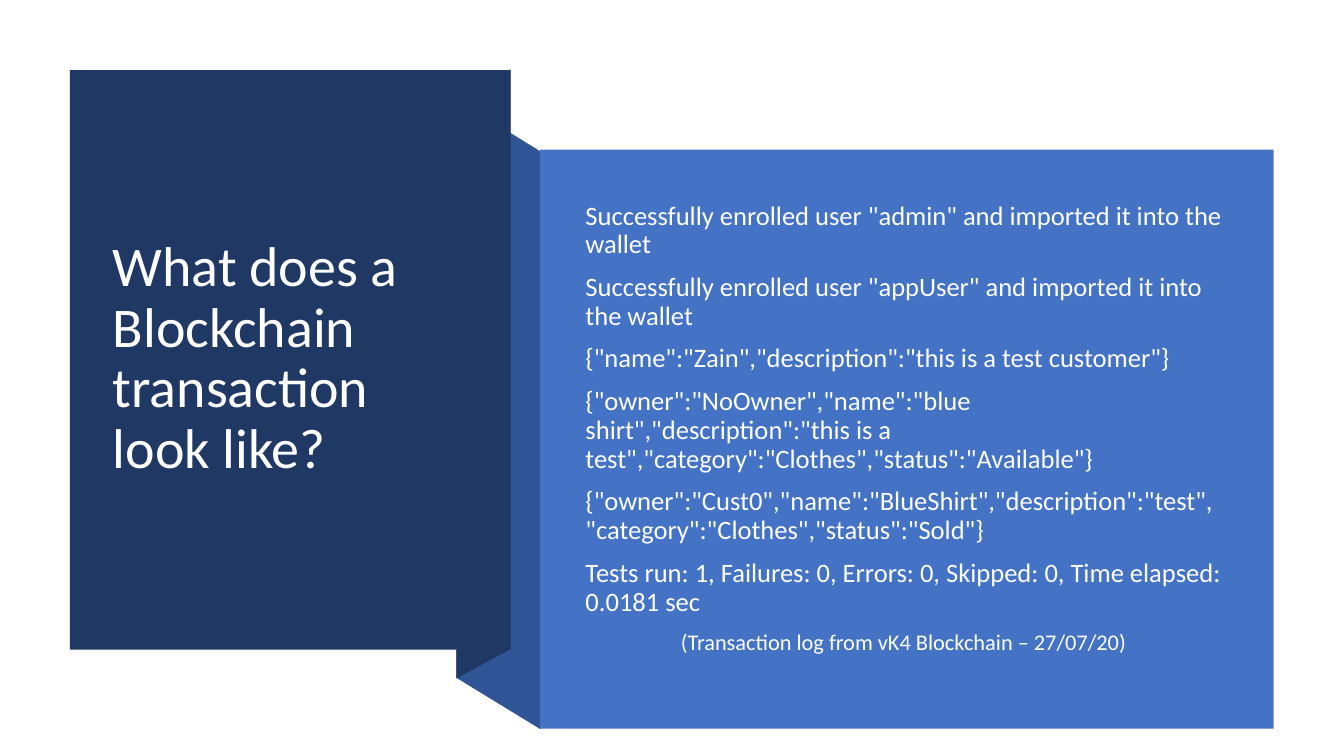
from lxml import etree
from pptx import Presentation
from pptx.dml.color import RGBColor
from pptx.enum.shapes import MSO_SHAPE
from pptx.enum.text import MSO_ANCHOR, MSO_AUTO_SIZE, PP_ALIGN
from pptx.oxml.ns import qn
from pptx.util import Cm, Pt

RECTANGLE = MSO_SHAPE.RECTANGLE
MIDDLE = MSO_ANCHOR.MIDDLE
NO_AUTOFIT = MSO_AUTO_SIZE.NONE
LEFT, CENTER = PP_ALIGN.LEFT, PP_ALIGN.CENTER

FONT = "Calibri"
COLORS = {
    "navy": "203864",
    "fold": "2F5597",
    "panel": "4472C4",
    "title": "FFFFFF",
    "body": "FEFFFF",
}

TITLE = "What does a Blockchain transaction look like?"
LOG_LINES = [
    'Successfully enrolled user "admin" and imported it into the wallet',
    'Successfully enrolled user "appUser" and imported it into the wallet',
    '{"name":"Zain","description":"this is a test customer"}',
    '{"owner":"NoOwner","name":"blue shirt","description":"this is a test",'
    '"category":"Clothes","status":"Available"}',
    '{"owner":"Cust0","name":"BlueShirt","description":"test",'
    '"category":"Clothes","status":"Sold"}',
    "Tests run: 1, Failures: 0, Errors: 0, Skipped: 0, Time elapsed: 0.0181 sec",
]
LOG_SOURCE = "(Transaction log from vK4 Blockchain – 27/07/20)"


def paint(shape, color):
    shape.shadow.inherit = False
    shape.fill.solid()
    shape.fill.fore_color.rgb = RGBColor.from_string(COLORS[color])
    shape.line.fill.background()


def add_panel(slide, left, top, width, height, color):
    panel = slide.shapes.add_shape(
        RECTANGLE, Cm(left), Cm(top), Cm(width), Cm(height))
    paint(panel, color)


def add_fold(slide, points, color):
    """Draw a ribbon fold as a closed polygon through points in centimetres."""
    start, *others = [(Cm(x), Cm(y)) for x, y in points]
    builder = slide.shapes.build_freeform(*start)
    builder.add_line_segments(others, close=True)
    paint(builder.convert_to_shape(), color)


def place_placeholder(slide, placeholder, left, top, width, height):
    """Position a placeholder, bring it to the front and return its text frame."""
    placeholder.left, placeholder.top = Cm(left), Cm(top)
    placeholder.width, placeholder.height = Cm(width), Cm(height)
    slide.shapes._spTree.append(placeholder._element)
    frame = placeholder.text_frame
    frame.word_wrap = True
    frame.auto_size = NO_AUTOFIT
    frame.vertical_anchor = MIDDLE
    return frame


def write_text(paragraph, text, size, color, align=LEFT, space_before=0):
    paragraph.alignment = align
    paragraph.line_spacing = 0.9
    paragraph.space_before = Pt(space_before)
    run = paragraph.add_run()
    run.text = text
    run.font.name = FONT
    run.font.size = Pt(size)
    run.font.color.rgb = RGBColor.from_string(COLORS[color])


def remove_bullet(paragraph):
    properties = paragraph._p.get_or_add_pPr()
    properties.set("marL", "0")
    properties.set("indent", "0")
    etree.SubElement(properties, qn("a:buNone"))


def write_log(frame):
    entries = [(line, 19, LEFT) for line in LOG_LINES]
    entries.append((LOG_SOURCE, 16, CENTER))
    for index, (text, size, align) in enumerate(entries):
        paragraph = frame.add_paragraph() if index else frame.paragraphs[0]
        write_text(paragraph, text, size, "body", align, space_before=10)
        remove_bullet(paragraph)


def main():
    presentation = Presentation()
    presentation.slide_width = Cm(33.87)
    presentation.slide_height = Cm(19.05)
    slide = presentation.slides.add_slide(presentation.slide_layouts[1])
    title, body = slide.placeholders

    add_fold(slide, [(13.61, 18.37), (11.5, 17.08), (11.5, 2.51), (13.61, 3.81)], "fold")
    add_fold(slide, [(12.86, 16.36), (11.5, 17.1), (11.5, 2.49), (12.86, 1.75)], "navy")
    add_panel(slide, 1.76, 1.77, 11.11, 14.6, "navy")
    title_frame = place_placeholder(slide, title, 2.59, 2.72, 9.42, 12.67)
    write_text(title_frame.paragraphs[0], TITLE, 40, "title")

    add_panel(slide, 13.61, 3.77, 18.49, 14.59, "panel")
    write_log(place_placeholder(slide, body, 14.5, 4.78, 16.54, 12.04))

    presentation.save("out.pptx")


if __name__ == "__main__":
    main()
